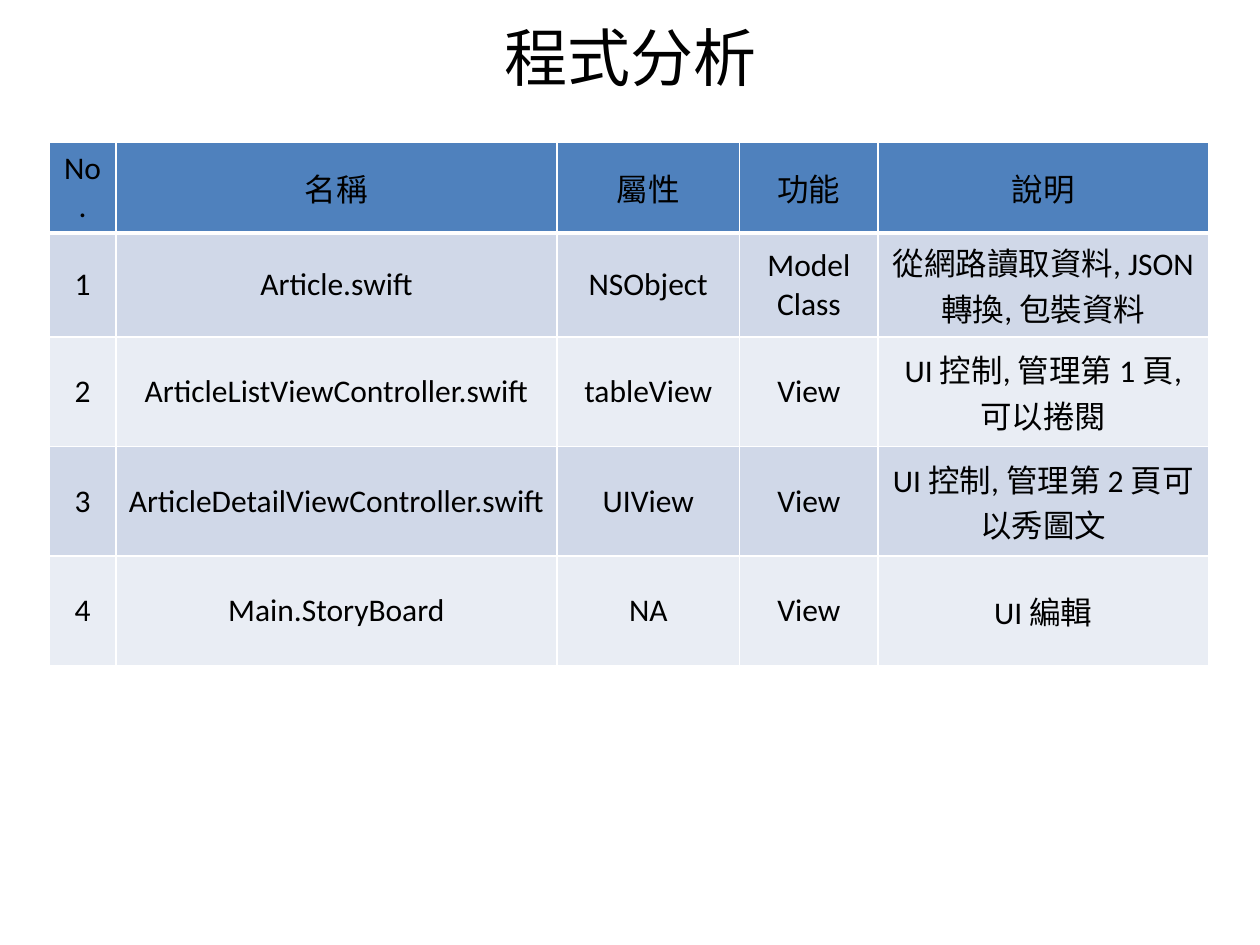
from lxml.etree import SubElement
from pptx import Presentation
from pptx.dml.color import RGBColor
from pptx.enum.text import MSO_ANCHOR, PP_ALIGN
from pptx.oxml.ns import qn
from pptx.util import Inches, Pt

# Content
TITLE = "程式分析"
ROWS = [
    ("No.", "名稱", "屬性", "功能", "說明"),
    ("1", "Article.swift", "NSObject", "Model Class", "從網路讀取資料, JSON轉換, 包裝資料"),
    ("2", "ArticleListViewController.swift", "tableView", "View", "UI 控制, 管理第 1 頁,可以捲閱"),
    ("3", "ArticleDetailViewController.swift", "UIView", "View", "UI 控制, 管理第 2 頁可以秀圖文"),
    ("4", "Main.StoryBoard", "NA", "View", "UI 編輯"),
]

# Layout and format
COLUMN_WIDTHS = [0.53, 3.5, 1.45, 1.1, 2.62]
ROW_HEIGHTS = [0.72, 0.81, 0.87, 0.87, 0.87]
BLACK = RGBColor(0x00, 0x00, 0x00)
WHITE = RGBColor(0xFF, 0xFF, 0xFF)
HEADER_FILL = RGBColor(0x4F, 0x81, 0xBD)
BAND_FILLS = [RGBColor(0xE9, 0xED, 0xF4), RGBColor(0xD0, 0xD8, 0xE8)]
TITLE_FONT = {"name": "Calibri", "size": Pt(36), "bold": False}
CELL_FONT = {"name": "Calibri", "size": Pt(18), "bold": False}


def format_text(text_frame, font_values):
    paragraph = text_frame.paragraphs[0]
    paragraph.alignment = PP_ALIGN.CENTER
    for name, value in font_values.items():
        setattr(paragraph.runs[0].font, name, value)
    paragraph.runs[0].font.color.rgb = BLACK


def add_borders(cell, widths):
    properties = cell._tc.get_or_add_tcPr()
    for side, width in widths.items():
        line = SubElement(properties, qn(f"a:ln{side}"), w=str(Pt(width)))
        fill = SubElement(line, qn("a:solidFill"))
        SubElement(fill, qn("a:srgbClr"), val=str(WHITE))


presentation = Presentation()
presentation.slide_width = Inches(10)
presentation.slide_height = Inches(7.5)
slide = presentation.slides.add_slide(presentation.slide_layouts[5])

# Title
title = slide.shapes.title
title.left, title.top = Inches(0), Inches(-0.01)
title.width, title.height = Inches(10), Inches(0.91)
title.text_frame.text = TITLE
title.text_frame.vertical_anchor = MSO_ANCHOR.MIDDLE
format_text(title.text_frame, TITLE_FONT)

# Table of program files
table = slide.shapes.add_table(
    len(ROWS), len(COLUMN_WIDTHS), Inches(0.39), Inches(1.13),
    Inches(sum(COLUMN_WIDTHS)), Inches(sum(ROW_HEIGHTS))).table
for column, width in zip(table.columns, COLUMN_WIDTHS):
    column.width = Inches(width)
for row, height in zip(table.rows, ROW_HEIGHTS):
    row.height = Inches(height)

for row_index, texts in enumerate(ROWS):
    for column_index, text in enumerate(texts):
        cell = table.cell(row_index, column_index)
        cell.text = text
        cell.vertical_anchor = MSO_ANCHOR.MIDDLE
        format_text(cell.text_frame, CELL_FONT)
        # A thick line parts the header from the body
        add_borders(cell, {"L": 1, "R": 1, "T": 3 if row_index == 1 else 1,
                           "B": 3 if row_index == 0 else 1})
        cell.fill.solid()
        cell.fill.fore_color.rgb = BAND_FILLS[row_index % 2] if row_index else HEADER_FILL

presentation.save("out.pptx")
